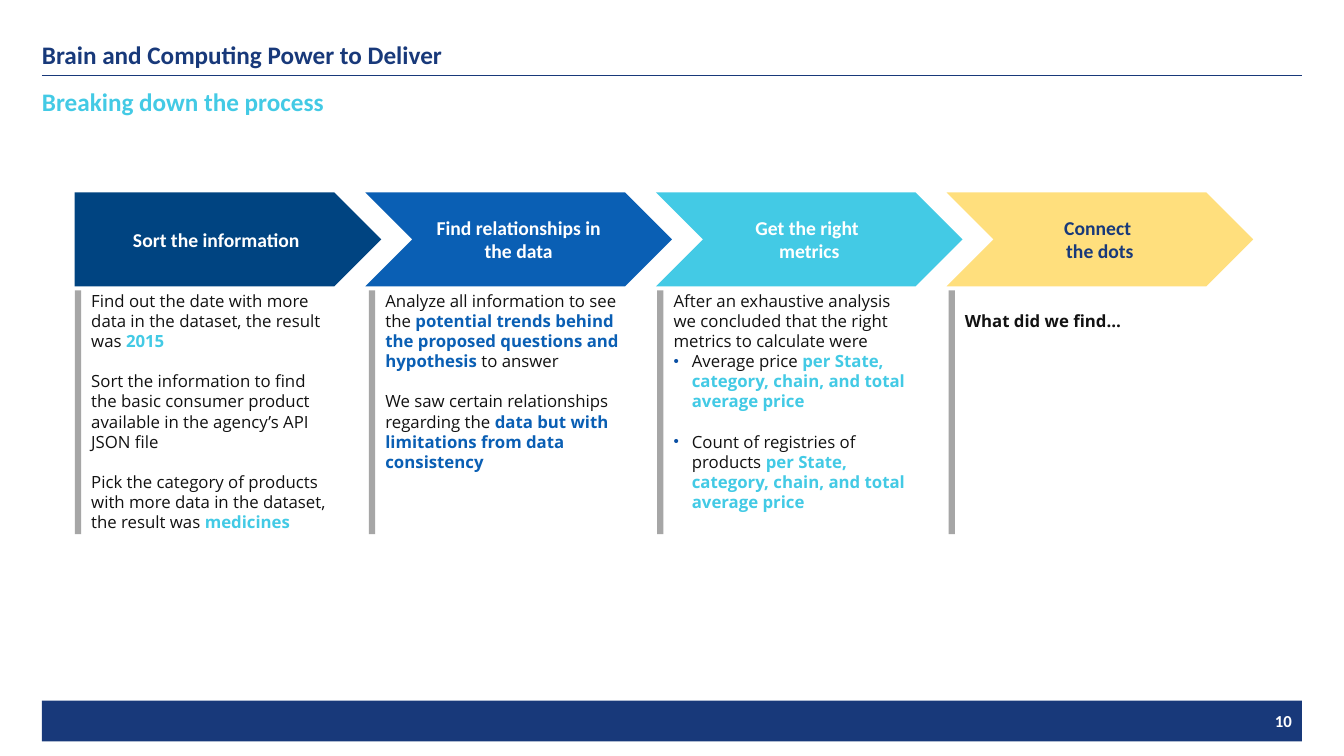
from dataclasses import dataclass

from lxml.etree import SubElement
from pptx import Presentation
from pptx.dml.color import RGBColor as RGB
from pptx.enum.shapes import MSO_CONNECTOR as Link, MSO_SHAPE as Form
from pptx.enum.text import MSO_ANCHOR as Anchor, PP_ALIGN as Align
from pptx.oxml.ns import qn
from pptx.util import Pt

HUE = {
    "navy": "18397A", "deep": "004481", "blue": "0A5FB4", "cyan": "43CAE5",
    "sand": "FFDF7D", "gray": "A6A6A6", "ink": "121212", "dot": "094FA4",
    "white": "FFFFFF",
}
LEFT, WIDE = 30, 900
ROW = 14.4  # body line pitch
HEAD = {"size": Pt(18), "bold": True, "name": "Calibri"}
STEP = {"size": Pt(14), "bold": True, "name": "Calibri"}
PAGE = {"size": Pt(12), "bold": True, "name": "Calibri"}
BODY = {"size": Pt(12), "bold": False, "name": "Open Sans"}
TIGHT = {"margin_left": 0, "margin_top": 0, "margin_right": 0,
         "margin_bottom": 0, "vertical_anchor": Anchor.MIDDLE}


@dataclass
class Para:
    text: str  # parts between asterisks are stressed
    gap: float = 0
    dot: bool = False


@dataclass
class Stage:
    lines: list[str]
    form: Form
    fill: str
    ink: str
    bar: float
    mark: str
    notes: list[Para]
    drop: float = 0


STAGES = [
    Stage(["Sort the information"], Form.PENTAGON, "deep", "white", 53.4, "cyan", [
        Para("Find out the date with more data in the dataset, the result was *2015*"),
        Para("Sort the information to find the basic consumer product available in "
             "the agency’s API JSON file", ROW),
        Para("Pick the category of products with more data in the dataset, "
             "the result was *medicines*", ROW),
    ]),
    Stage(["Find relationships in", "the data"], Form.CHEVRON, "blue", "white", 263.5, "blue", [
        Para("Analyze all information to see the *potential trends behind the proposed "
             "questions and hypothesis* to answer"),
        Para("We saw certain relationships regarding the *data but with limitations "
             "from data consistency*", ROW),
    ]),
    Stage(["Get the right ", "metrics"], Form.CHEVRON, "cyan", "white", 469.4, "cyan", [
        Para("After an exhaustive analysis we concluded that the right metrics "
             "to calculate were"),
        Para("Average price *per State, category, chain, and total average price*", 0, True),
        Para("Count of registries of products *per State, category, chain, "
             "and total average price*", ROW, True),
    ]),
    Stage(["Connect ", "the dots"], Form.CHEVRON, "sand", "navy", 677.5, "ink",
          [Para("*What did we find…*")], ROW),
]


def apply(item, form: dict) -> None:
    for key, val in form.items():
        setattr(item, key, val)


def write(para, text: str, form: dict, hue: str) -> None:
    run = para.add_run()
    run.text = text
    apply(run.font, form)
    run.font.color.rgb = RGB.from_string(HUE[hue])


def place(shape, x: float, y: float, w: float, h: float) -> None:
    apply(shape, {"left": Pt(x), "top": Pt(y), "width": Pt(w), "height": Pt(h)})


def block(slide, form: Form, x: float, y: float, w: float, h: float, hue: str):
    shape = slide.shapes.add_shape(form, Pt(x), Pt(y), Pt(w), Pt(h))
    shape.shadow.inherit = False
    shape.fill.solid()
    shape.fill.fore_color.rgb = RGB.from_string(HUE[hue])
    shape.line.fill.background()
    return shape


def bullet(para) -> None:
    prop = para._p.get_or_add_pPr()
    prop.set("marL", str(Pt(13)))
    prop.set("indent", str(-Pt(13)))
    tint = SubElement(prop, qn("a:buClr"))
    SubElement(tint, qn("a:srgbClr"), val=HUE["dot"])
    SubElement(prop, qn("a:buSzPct"), val="90000")
    SubElement(prop, qn("a:buFont"), typeface="Arial")
    SubElement(prop, qn("a:buChar"), char="•")


def header(slide) -> None:
    rule = slide.shapes.add_connector(
        Link.STRAIGHT, Pt(LEFT), Pt(54), Pt(LEFT + WIDE), Pt(54))
    rule.line.color.rgb = RGB.from_string(HUE["navy"])
    rule.line.width = Pt(1)
    SubElement(rule._element.spPr, qn("a:effectLst"))

    title = slide.shapes.title
    place(title, LEFT, 24.5, WIDE, 29)
    sub = slide.shapes.add_textbox(Pt(LEFT), Pt(61.5), Pt(WIDE), Pt(21.6))
    for shape, text, hue in (
        (title, "Brain and Computing Power to Deliver", "navy"),
        (sub, "Breaking down the process", "cyan"),
    ):
        frame = shape.text_frame
        apply(frame, TIGHT | {"word_wrap": True})
        para = frame.paragraphs[0]
        para.alignment = Align.LEFT
        write(para, text, HEAD, hue)


def footer(slide) -> None:
    band = block(slide, Form.RECTANGLE, LEFT, 500.5, WIDE, 29, "navy")
    band.text_frame.vertical_anchor = Anchor.MIDDLE
    para = band.text_frame.paragraphs[0]
    para.alignment = Align.RIGHT
    write(para, "10", PAGE, "white")


def arrow(slide, stage: Stage, x: float) -> None:
    shape = block(slide, stage.form, x, 137.5, 219, 67, stage.fill)
    frame = shape.text_frame
    apply(frame, TIGHT | {"word_wrap": False})
    for i, line in enumerate(stage.lines):
        para = frame.add_paragraph() if i else frame.paragraphs[0]
        para.alignment = Align.CENTER
        write(para, line, STEP, stage.ink)


def column(slide, stage: Stage) -> None:
    top, tall = 207.4, 174.2
    box = slide.shapes.add_textbox(Pt(stage.bar + 8.8), Pt(top), Pt(175), Pt(tall))
    frame = box.text_frame
    apply(frame, TIGHT | {"word_wrap": True, "vertical_anchor": Anchor.TOP,
                          "margin_left": Pt(3), "margin_top": Pt(stage.drop)})
    for i, note in enumerate(stage.notes):
        para = frame.add_paragraph() if i else frame.paragraphs[0]
        apply(para, {"line_spacing": Pt(ROW), "space_before": Pt(note.gap)})
        if note.dot:
            bullet(para)
        for j, part in enumerate(note.text.split("*")):
            if part:
                bold = j % 2 == 1
                write(para, part, BODY | {"bold": bold}, stage.mark if bold else "ink")
    block(slide, Form.RECTANGLE, stage.bar, top, 4.5, tall, "gray")


def main() -> None:
    deck = Presentation()
    apply(deck, {"slide_width": Pt(960), "slide_height": Pt(540)})
    slide = deck.slides.add_slide(deck.slide_layouts[5])
    header(slide)
    footer(slide)
    for i, stage in enumerate(STAGES):
        arrow(slide, stage, 53.4 + 207.6 * i)
        column(slide, stage)
    deck.save("out.pptx")


if __name__ == "__main__":
    main()
